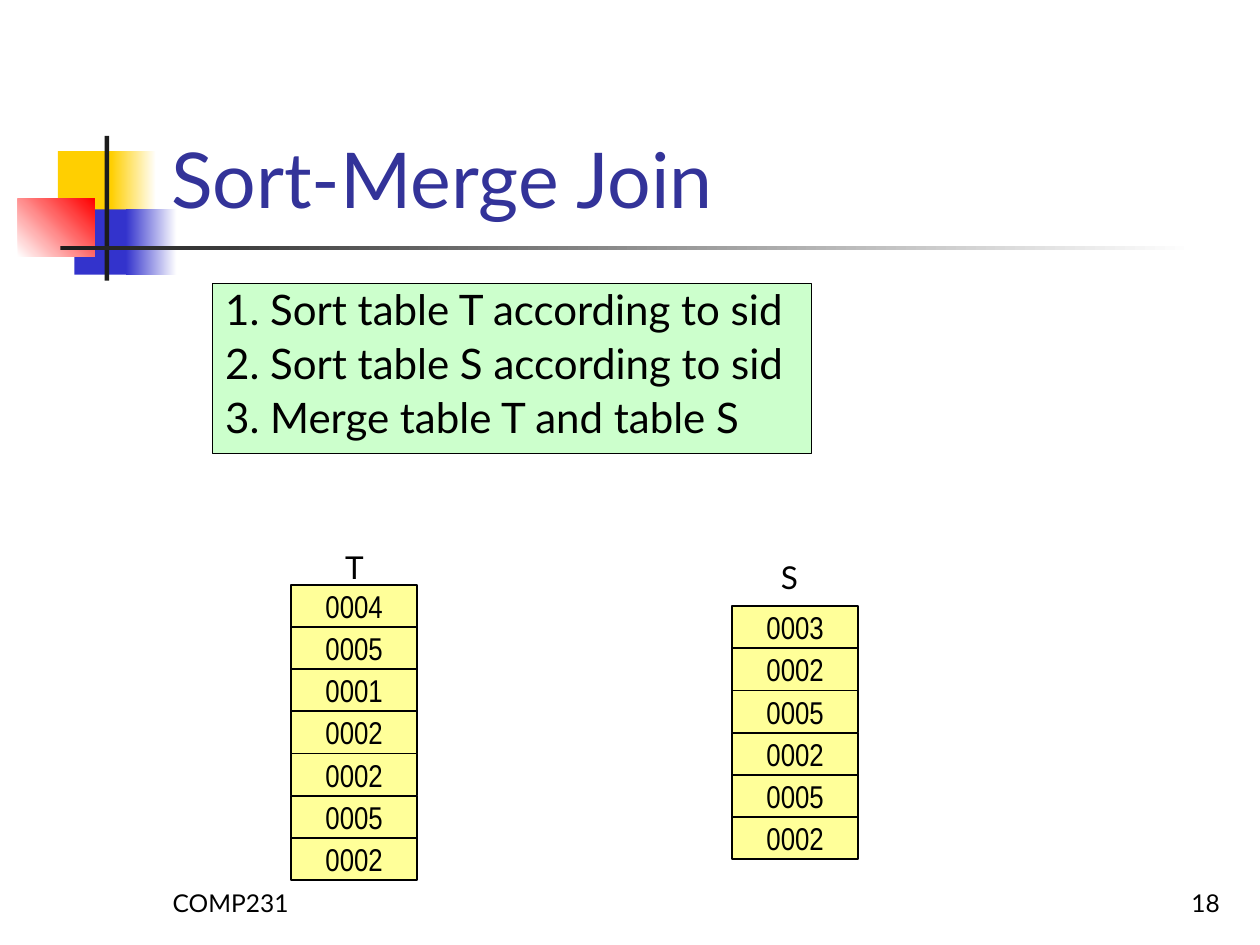
from pptx import Presentation
from pptx import util as u
from pptx.dml import color as c
from pptx.enum import shapes, text

COLORS = {
    "yellow": "FFCF01", "blue": "3333CC", "red": "FF0000", "white": "FFFFFF",
    "dark": "1C1C1C", "black": "000000", "title": "333399",
    "steps": "CCFFCC", "cell": "FFFF99",
}
LEFT, CENTER, RIGHT = text.PP_ALIGN.LEFT, text.PP_ALIGN.CENTER, text.PP_ALIGN.RIGHT
TOP, MIDDLE, BOTTOM = text.MSO_ANCHOR.TOP, text.MSO_ANCHOR.MIDDLE, text.MSO_ANCHOR.BOTTOM


def rgb(name):
    return c.RGBColor.from_string(COLORS[name])


def set_values(obj, values):
    for key, value in values.items():
        setattr(obj, key, value)


class Deck:
    font = "Lato"
    cell_font = "Arial Narrow"
    cell_width, cell_height = 2.54, 0.85

    def __init__(self, prs):
        self.slide = prs.slides.add_slide(prs.slide_layouts[6])

    def rect(self, box, fill, fade=None, angle=0, line=None):
        sp = self.slide.shapes.add_shape(shapes.MSO_SHAPE.RECTANGLE, *map(u.Cm, box))
        sp.shadow.inherit = False
        if fade:
            sp.fill.gradient()
            sp.fill.gradient_angle = angle
            for stop, color in zip(sp.fill.gradient_stops, (fill, fade)):
                stop.color.rgb = rgb(color)
        else:
            sp.fill.solid()
            sp.fill.fore_color.rgb = rgb(fill)
        if line:
            sp.line.color.rgb = rgb("black")
            sp.line.width = u.Pt(line)
        else:
            sp.line.fill.background()
        return sp

    def put_text(self, sp, lines, size, color="black", font=None, align=LEFT,
                 anchor=TOP, wrap=True, spacing=None, before=0):
        tf = sp.text_frame
        set_values(tf, {"word_wrap": wrap, "vertical_anchor": anchor})
        for i, line in enumerate(lines):
            p = tf.paragraphs[0] if i == 0 else tf.add_paragraph()
            set_values(p, {"alignment": align, "line_spacing": spacing,
                           "space_before": u.Pt(before if i else 0)})
            r = p.add_run()
            r.text = line
            set_values(r.font, {"name": font or self.font, "size": u.Pt(size)})
            r.font.color.rgb = rgb(color)

    def label(self, box, words, size, **style):
        sp = self.slide.shapes.add_textbox(*map(u.Cm, box))
        self.put_text(sp, [words], size, **style)

    def column(self, left, top, values):
        for i, value in enumerate(values):
            box = (left, top + i * self.cell_height, self.cell_width, self.cell_height)
            sp = self.rect(box, "cell", line=1)
            self.put_text(sp, [value], 18, font=self.cell_font, align=CENTER, anchor=MIDDLE)


def main():
    prs = Presentation()
    set_values(prs, {"slide_width": u.Cm(25.4), "slide_height": u.Cm(19.05)})
    deck = Deck(prs)

    deck.rect((1.17, 3.05, 1.22, 1.32), "yellow")
    deck.rect((2.24, 3.05, 0.91, 1.32), "yellow", "white")
    deck.rect((1.5, 4.22, 1.17, 1.32), "blue")
    deck.rect((2.54, 4.22, 1.02, 1.32), "blue", "white")
    deck.rect((0.36, 4.01, 1.55, 1.17), "white", "red", angle=45)
    deck.rect((2.11, 2.74, 0.09, 2.92), "dark")
    deck.rect((1.22, 4.95, 22.86, 0.09), "dark", "white")

    deck.label((3.23, 17.35, 5.28, 1.27), "COMP231", 14, anchor=BOTTOM)
    deck.label((19.56, 17.35, 5.28, 1.27), "18", 14, align=RIGHT, anchor=BOTTOM)
    deck.label((3.2, 0.58, 21.64, 4.06), "Sort-Merge Join", 44, color="title", anchor=BOTTOM)

    steps = deck.rect((4.29, 5.71, 12.07, 3.43), "steps", line=0.75)
    deck.put_text(steps, [
        "1. Sort table T according to sid",
        "2. Sort table S according to sid",
        "3. Merge table T and table S",
    ], 24, spacing=0.9, before=4.8)

    deck.column(5.87, 11.79, ["0004", "0005", "0001", "0002", "0002", "0005", "0002"])
    deck.column(14.76, 12.22, ["0003", "0002", "0005", "0002", "0005", "0002"])
    deck.label((6.71, 10.92, 0.89, 1.02), "T", 18, wrap=False)
    deck.label((15.49, 11.13, 0.86, 1.02), "S", 18, wrap=False)

    prs.save("out.pptx")


if __name__ == "__main__":
    main()
